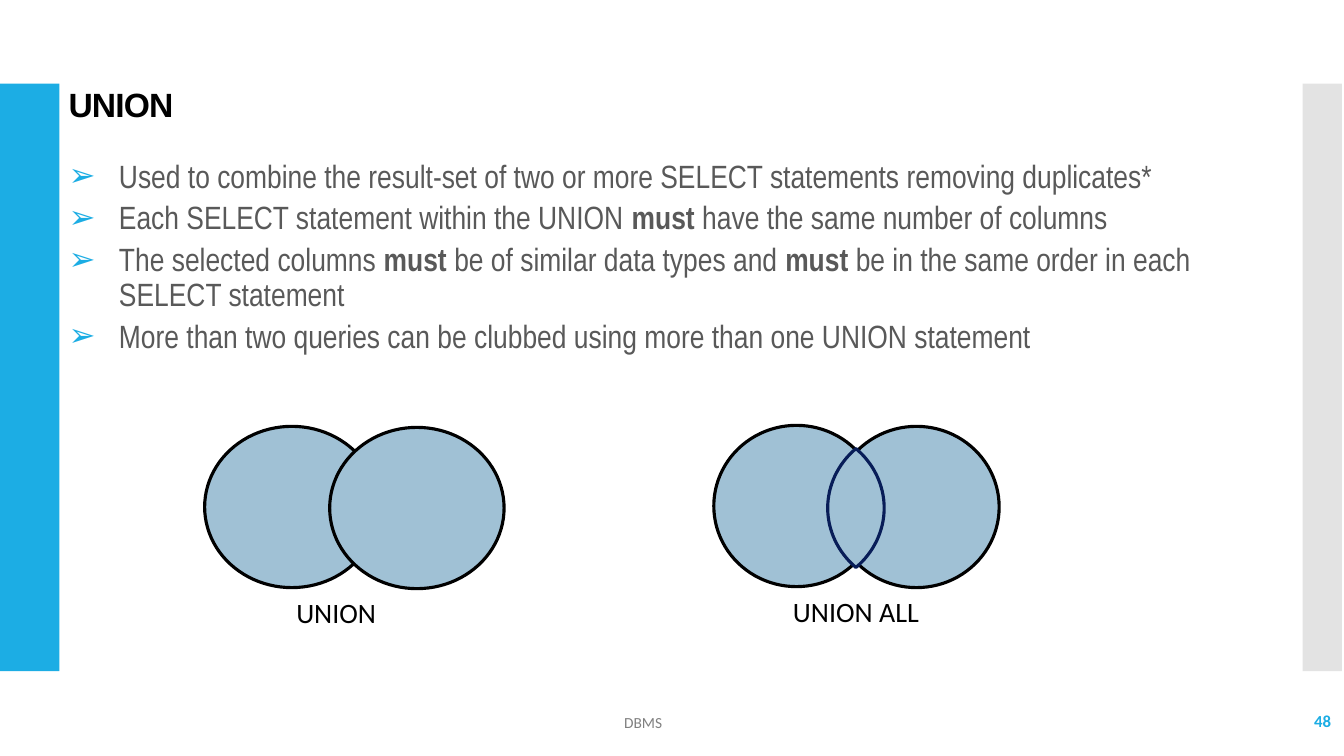
from math import asin, cos, pi, sin

from lxml import etree
from pptx import Presentation
from pptx.dml.color import RGBColor
from pptx.enum.shapes import MSO_SHAPE as Preset
from pptx.enum.text import MSO_ANCHOR as Anchor, MSO_AUTO_SIZE as AutoSize, PP_ALIGN as Align
from pptx.oxml.ns import qn
from pptx.util import Inches, Pt

COLORS = {
    "accent": "1CADE4",
    "side": "C8C8C8",
    "body": "595959",
    "footer": "808080",
    "black": "000000",
    "circle": "A0C1D5",
    "lens": "081D58",
}

# Each bullet is a list of (text, bold) runs.
BULLETS = [
    [("Used to combine the result-set of two or more SELECT statements removing duplicates*", False)],
    [("Each SELECT statement within the UNION ", False), ("must", True),
     (" have the same number of columns", False)],
    [("The selected columns ", False), ("must ", True),
     ("be of similar data types and ", False), ("must", True),
     (" be in the same order in each SELECT statement", False)],
    [("More than two queries can be clubbed using more than one UNION statement", False)],
]


def color(name):
    return RGBColor.from_string(COLORS[name])


def place(shape, left, top, width, height):
    shape.left, shape.top = Inches(left), Inches(top)
    shape.width, shape.height = Inches(width), Inches(height)


def paint(shape, fill, line=None):
    shape.shadow.inherit = False
    shape.fill.solid()
    shape.fill.fore_color.rgb = color(fill)
    if line:
        shape.line.color.rgb = color(line)
        shape.line.width = Pt(2.25)
    else:
        shape.line.fill.background()


def add_run(para, text, font, size, fill, bold=False):
    span = para.add_run()
    span.text = text
    span.font.name, span.font.size, span.font.bold = font, Pt(size), bold
    span.font.color.rgb = color(fill)
    return span


def add_bar(page, left, width, fill):
    bar = page.shapes.add_shape(
        Preset.RECTANGLE, Inches(left), Inches(0.83), Inches(width), Inches(5.83))
    paint(bar, fill)
    return bar


def make_half_transparent(shape):
    fill = shape._element.spPr.find(qn("a:solidFill"))
    etree.SubElement(fill[0], qn("a:alpha"), val="50000")


def add_bullet(para):
    """Give the paragraph a hanging arrow bullet in the accent colour."""
    props = para._p.get_or_add_pPr()
    props.set("marL", str(Inches(0.5)))
    props.set("indent", str(-Inches(0.5)))
    bullet_color = etree.SubElement(props, qn("a:buClr"))
    etree.SubElement(bullet_color, qn("a:srgbClr"), val=COLORS["accent"])
    etree.SubElement(props, qn("a:buFont"), typeface="Arial")
    etree.SubElement(props, qn("a:buChar"), char="➢")


def fill_title(title):
    place(title, 0.58, 0.86, 10.44, 0.4)
    frame = title.text_frame
    frame.auto_size, frame.vertical_anchor = AutoSize.NONE, Anchor.MIDDLE
    para = frame.paragraphs[0]
    para.alignment, para.line_spacing = Align.LEFT, 0.9
    span = add_run(para, "UNION", "Arial", 24, "black", True)
    span.font._element.set("spc", "-60")


def fill_body(body):
    place(body, 0.58, 1.54, 11.62, 5.36)
    frame = body.text_frame
    frame.auto_size, frame.vertical_anchor = AutoSize.NONE, Anchor.TOP
    for index, runs in enumerate(BULLETS):
        para = frame.add_paragraph() if index else frame.paragraphs[0]
        add_bullet(para)
        para.line_spacing = 0.9
        para.space_before = Pt(5 if index else 0)
        for text, bold in runs:
            add_run(para, text, "Arial Narrow", 23, "body", bold)


def add_label(page, at, text, size, fill, align, bold=False, anchor=Anchor.TOP, wrap=True):
    box = page.shapes.add_textbox(*map(Inches, at))
    frame = box.text_frame
    frame.word_wrap, frame.vertical_anchor = wrap, anchor
    para = frame.paragraphs[0]
    para.alignment = align
    add_run(para, text, "Calibri", size, fill, bold)
    return frame


def add_circles(page, lefts, top, width):
    """Group two overlapping circles, the second slightly lower."""
    venn = page.shapes.add_group_shape()
    for index, left in enumerate(lefts):
        circle = venn.shapes.add_shape(
            Preset.OVAL, Inches(left), Inches(top + 0.01 * index), Inches(width), Inches(1.6))
        paint(circle, "circle", "black")
    return venn


def add_lens(venn, center_x, center_y, half_width, half_height, radius=0.8, steps=32):
    """Outline the overlap with two mirrored arcs that meet at top and bottom."""
    reach = asin(half_height / radius)
    points = []
    for side in (1, -1):
        for step in range(steps):
            angle = side * reach * (2 * step / steps - 1)
            bulge = half_width * (cos(angle) - cos(reach)) / (1 - cos(reach))
            points.append((Inches(center_x + side * bulge),
                           Inches(center_y + radius * sin(angle))))
    outline = venn.shapes.build_freeform(*points[0])
    outline.add_line_segments(points[1:], close=True)
    paint(outline.convert_to_shape(), "circle", "lens")


def main():
    deck = Presentation()
    deck.slide_width, deck.slide_height = Inches(13.33), Inches(7.5)
    page = deck.slides.add_slide(deck.slide_layouts[1])

    add_bar(page, 0, 0.59, "accent")
    make_half_transparent(add_bar(page, 12.92, 0.39, "side"))
    fill_title(page.shapes.title)
    fill_body(page.placeholders[1])

    add_circles(page, (2.03, 3.27), 4.23, 1.73)
    add_label(page, (2.84, 5.86, 1.05, 0.44), "UNION", 20, "black", Align.LEFT, wrap=False)

    union_all = add_circles(page, (7.08, 8.27), 4.22, 1.64)
    add_lens(union_all, 8.49, 5.04, 0.28, 0.59)
    frame = add_label(page, (7.53, 5.84, 1.92, 0.45), "UNION ALL", 20, "black", Align.CENTER)
    frame.margin_left = frame.margin_right = Inches(0.12)
    frame.margin_top = frame.margin_bottom = Inches(0.06)

    add_label(page, (3.15, 6.97, 6.46, 0.4), "DBMS", 11, "footer", Align.CENTER,
              anchor=Anchor.MIDDLE)
    add_label(page, (11.63, 6.95, 1.67, 0.4), "48", 12, "accent", Align.RIGHT, True,
              Anchor.MIDDLE)
    deck.save("out.pptx")


if __name__ == "__main__":
    main()
